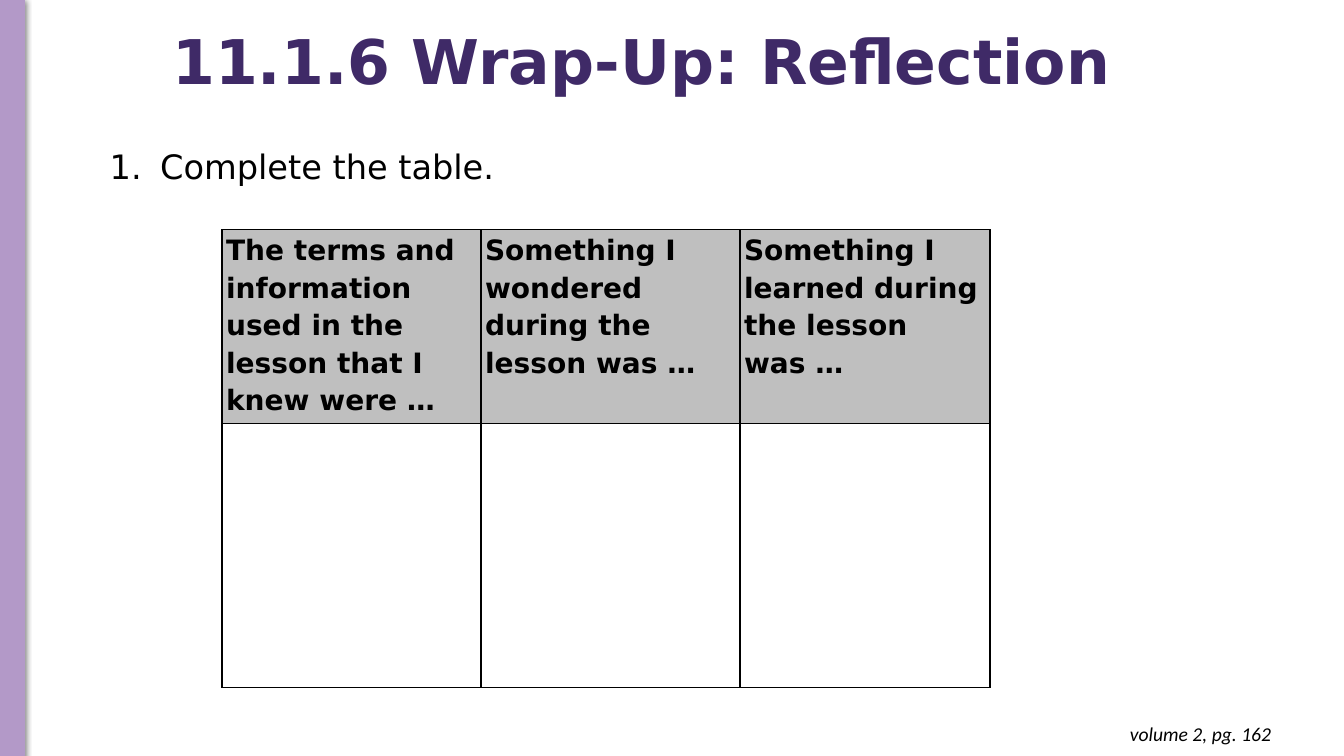
"""Build the lesson wrap-up reflection slide."""
from lxml import etree
from pptx import Presentation
from pptx.dml.color import RGBColor
from pptx.enum.shapes import MSO_SHAPE
from pptx.enum.text import MSO_ANCHOR, PP_ALIGN
from pptx.oxml import parse_xml
from pptx.oxml.ns import nsdecls, qn
from pptx.util import Pt

RECTANGLE = MSO_SHAPE.RECTANGLE
MIDDLE = MSO_ANCHOR.MIDDLE
RIGHT = PP_ALIGN.RIGHT

LESSON_FONT = "DejaVu Sans"
FOOTER_FONT = "Calibri"
BLACK, LILAC, PURPLE, GRAY = "000000", "B399C8", "3F2A67", "BFBFBF"
HEADINGS = [
    "The terms and information used in the lesson that I knew were …",
    "Something I wondered during the lesson was …",
    "Something I learned during the lesson\nwas …",
]


def color(hex_string):
    """Return the colour for a hex string."""
    return RGBColor.from_string(hex_string)


def style(paragraph, size, family=LESSON_FONT, ink=BLACK, bold=False, italic=False):
    """Set the font of a paragraph."""
    font = paragraph.font
    font.name, font.size = family, Pt(size)
    font.bold, font.italic = bold, italic
    font.color.rgb = color(ink)


def add_text(slide, box, text, inset=3.6):
    """Add a wrapped text box and return its frame."""
    frame = slide.shapes.add_textbox(*map(Pt, box)).text_frame
    frame.word_wrap = True
    frame.margin_top = frame.margin_bottom = Pt(inset)
    frame.text = text
    return frame


def add_side_bar(slide, box):
    """Add the shadowed bar along the left edge."""
    bar = slide.shapes.add_shape(RECTANGLE, *map(Pt, box))
    bar.shadow.inherit = False
    bar.fill.solid()
    bar.fill.fore_color.rgb = color(LILAC)
    bar.line.color.rgb = color(LILAC)
    bar.line.width = Pt(0.75)
    effects = bar._element.spPr.find(qn("a:effectLst"))
    effects.append(parse_xml(
        f'<a:outerShdw {nsdecls("a")} blurRad="{Pt(4.5)}" dist="{Pt(1.5)}" '
        f'dir="5400000" rotWithShape="0"><a:srgbClr val="{BLACK}">'
        '<a:alpha val="50000"/></a:srgbClr></a:outerShdw>'))


def add_title(slide, box):
    """Add the slide title."""
    frame = add_text(slide, box, "11.1.6 Wrap-Up: Reflection")
    frame.vertical_anchor = MIDDLE
    title = frame.paragraphs[0]
    title.line_spacing = 0.9
    style(title, 44, ink=PURPLE, bold=True)


def add_task(slide, box):
    """Add the numbered task."""
    task = add_text(slide, box, "Complete the table.").paragraphs[0]
    properties = task._p.get_or_add_pPr()
    properties.set("marL", str(Pt(36)))
    properties.set("indent", str(-Pt(36)))
    bullet_color = etree.SubElement(properties, qn("a:buClr"))
    etree.SubElement(bullet_color, qn("a:srgbClr"), val=BLACK)
    etree.SubElement(properties, qn("a:buFont"), typeface=LESSON_FONT)
    etree.SubElement(properties, qn("a:buAutoNum"), type="arabicPeriod")
    style(task, 24)


def add_borders(cell):
    """Draw a thin black line on every side of a cell."""
    properties = cell._tc.get_or_add_tcPr()
    for side in "LRTB":
        properties.append(parse_xml(
            f'<a:ln{side} {nsdecls("a")} w="{Pt(1)}"><a:solidFill>'
            f'<a:srgbClr val="{BLACK}"/></a:solidFill></a:ln{side}>'))


def add_reflection_table(slide, box):
    """Add the table with headings above blank answer cells."""
    frame = slide.shapes.add_table(2, len(HEADINGS), *map(Pt, box))
    reflection = frame.table
    for column, width in zip(reflection.columns, (185, 185, 178.6)):
        column.width = Pt(width)
    for row, height in zip(reflection.rows, (133.2, 188.6)):
        row.height = Pt(height)
    for cell in reflection.iter_cells():
        add_borders(cell)
        cell.fill.background()
    for cell, heading in zip(reflection.rows[0].cells, HEADINGS):
        cell.fill.solid()
        cell.fill.fore_color.rgb = color(GRAY)
        cell.margin_left = cell.margin_right = Pt(2.9)
        cell.margin_top = cell.margin_bottom = 0
        cell.text = heading
        for paragraph in cell.text_frame.paragraphs:
            paragraph.line_spacing = 1.15
            style(paragraph, 20, bold=True)


def add_page_reference(slide, box):
    """Add the volume and page reference."""
    reference = add_text(slide, box, "volume 2, pg. 162", inset=7.2).paragraphs[0]
    reference.alignment = RIGHT
    style(reference, 14, family=FOOTER_FONT, italic=True)


def main():
    """Build and save the presentation."""
    deck = Presentation()
    deck.slide_width, deck.slide_height = Pt(960), Pt(540)
    slide = deck.slides.add_slide(deck.slide_layouts[6])
    add_side_bar(slide, (0, -0.5, 17.5, 540.5))
    add_title(slide, (116, -6, 742, 104.4))
    add_task(slide, (71.3, 100.8, 742, 36))
    add_reflection_table(slide, (158.6, 164.2, 548.6, 321.8))
    add_page_reference(slide, (707.8, 508.3, 207.4, 31.7))
    deck.save("out.pptx")


if __name__ == "__main__":
    main()
